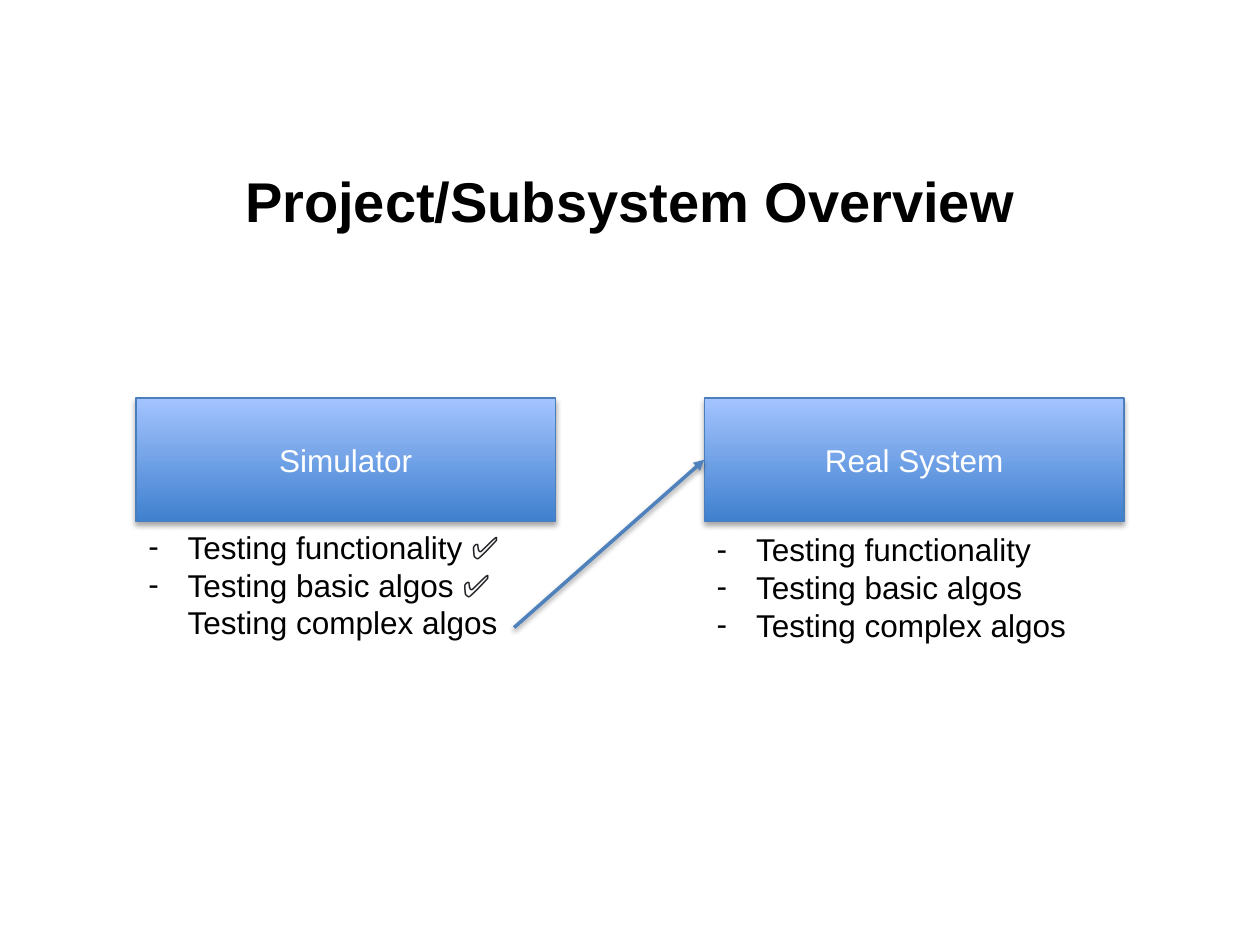
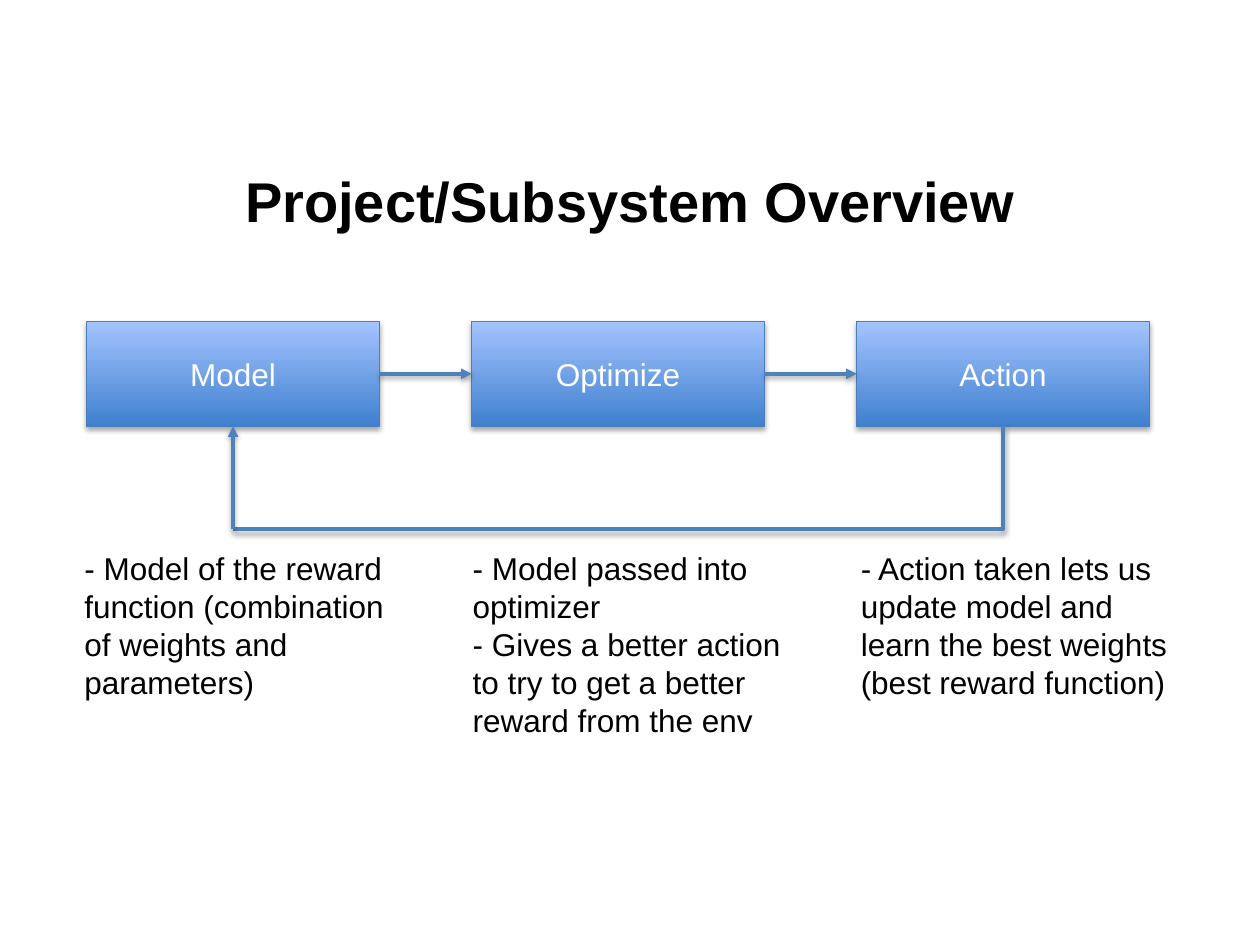
from dataclasses import dataclass

from lxml.etree import SubElement
from pptx import Presentation
from pptx.dml.color import RGBColor
from pptx.enum.shapes import MSO_CONNECTOR as Link, MSO_SHAPE as Preset
from pptx.enum.text import MSO_ANCHOR as Anchor, MSO_AUTO_SIZE as AutoSize, PP_ALIGN as Align
from pptx.oxml.ns import qn
from pptx.util import Pt


@dataclass(frozen=True)
class Theme:
    font: str = "Arial"
    mark_font: str = "Roboto"
    title_size: float = 32
    body_size: float = 18
    ink: str = "000000"
    mark: str = "202124"
    light: str = "FFFFFF"
    box_bottom: str = "3F80CE"
    box_top: str = "A4C4FF"
    box_line: str = "4B7EBC"
    arrow: str = "4F81BD"


THEME = Theme()
CHECK = "\u2705"
INDENT = 22.5


def style_runs(paragraph, size, color, bold=False):
    for span in paragraph.runs:
        span.font.name = THEME.font
        span.font.size = Pt(size)
        span.font.bold = bold
        span.font.color.rgb = RGBColor.from_string(color)


def mark_checks(paragraph):
    for span in paragraph.runs:
        if CHECK in span.text:
            span.font.name = THEME.mark_font
            span.font.bold = True
            span.font.color.rgb = RGBColor.from_string(THEME.mark)


def add_shadow(shape, opacity, distance):
    properties = shape._element.spPr
    effects = properties.find(qn("a:effectLst"))
    if effects is None:
        effects = SubElement(properties, qn("a:effectLst"))
    shadow = SubElement(effects, qn("a:outerShdw"), blurRad=str(Pt(3.1)),
                        dist=str(Pt(distance)), dir="5400000", rotWithShape="0")
    color = SubElement(shadow, qn("a:srgbClr"), val="000000")
    SubElement(color, qn("a:alpha"), val=str(opacity * 1000))


def add_page(deck, title):
    page = deck.slides.add_slide(deck.slide_layouts[5])
    heading = page.shapes.title
    heading.left, heading.top = Pt(36), Pt(82.8)
    heading.width, heading.height = Pt(648), Pt(63.4)
    frame = heading.text_frame
    frame.text = title
    frame.vertical_anchor = Anchor.MIDDLE
    paragraph = frame.paragraphs[0]
    paragraph.alignment = Align.CENTER
    style_runs(paragraph, THEME.title_size, THEME.ink, bold=True)
    return page


def add_box(page, label, left, top, width, height):
    box = page.shapes.add_shape(Preset.RECTANGLE, Pt(left), Pt(top), Pt(width), Pt(height))
    box.fill.gradient()
    box.fill.gradient_angle = 90
    for stop, color in zip(box.fill.gradient_stops, (THEME.box_bottom, THEME.box_top)):
        stop.color.rgb = RGBColor.from_string(color)
    box.line.color.rgb = RGBColor.from_string(THEME.box_line)
    box.line.width = Pt(0.75)
    box.shadow.inherit = False
    add_shadow(box, 35, 1.8)
    box.text_frame.text = label
    box.text_frame.vertical_anchor = Anchor.MIDDLE
    paragraph = box.text_frame.paragraphs[0]
    paragraph.alignment = Align.CENTER
    style_runs(paragraph, THEME.body_size, THEME.light)


def add_link(page, start, end, kind=Link.STRAIGHT, head=True):
    link = page.shapes.add_connector(kind, *(Pt(value) for value in (*start, *end)))
    link.line.color.rgb = RGBColor.from_string(THEME.arrow)
    link.line.width = Pt(2)
    if head:
        SubElement(link.line._get_or_add_ln(), qn("a:tailEnd"), type="triangle")
    add_shadow(link, 38, 1.6)
    return link


def add_corner(page, start, end):
    center_x, center_y = (start[0] + end[0]) / 2, (start[1] + end[1]) / 2
    half_width, half_height = (end[1] - start[1]) / 2, (start[0] - end[0]) / 2
    link = add_link(page, (center_x - half_width, center_y - half_height),
                    (center_x + half_width, center_y + half_height), Link.ELBOW, head=False)
    properties = link._element.spPr
    properties.find(qn("a:xfrm")).set("rot", "5400000")
    properties.find(qn("a:prstGeom")).set("prst", "bentConnector2")


def add_text(page, lines, left, top, width, height, bullets=False):
    box = page.shapes.add_textbox(Pt(left), Pt(top), Pt(width), Pt(height))
    frame = box.text_frame
    frame.word_wrap = True
    frame.auto_size = AutoSize.SHAPE_TO_FIT_TEXT
    for index, pieces in enumerate(lines):
        paragraph = frame.add_paragraph() if index else frame.paragraphs[0]
        for piece in pieces:
            paragraph.add_run().text = piece
        style_runs(paragraph, THEME.body_size, THEME.ink)
        mark_checks(paragraph)
        if bullets:
            settings = paragraph._p.get_or_add_pPr()
            settings.set("marL", str(Pt(INDENT)))
            settings.set("indent", str(-Pt(INDENT)))
            SubElement(settings, qn("a:buFont"), typeface=THEME.font)
            SubElement(settings, qn("a:buChar"), char="-")


def build_testing(deck):
    page = add_page(deck, "Project/Subsystem Overview")
    top, width, height = 227.4, 239.8, 70.6
    left = 77.7
    right = 720 - left - width
    add_box(page, "Simulator", left, top, width, height)
    add_box(page, "Real System", right, top, width, height)
    add_text(page, [["Testing functionality ", CHECK],
                    ["Testing basic algos ", CHECK + " ", "Testing complex algos"]],
             left, top + height, width, 94.3, bullets=True)
    add_link(page, (293.8, 358.6), (right, top + height / 2))
    add_text(page, [["Testing functionality"], ["Testing basic algos"],
                    ["Testing complex algos"]],
             right, top + height + 1.5, width, 72.7, bullets=True)


def build_loop(deck):
    page = add_page(deck, "Project/Subsystem Overview")
    left, top, width, height, pitch = 49.6, 183.6, 167.2, 60, 220
    bottom, loop_y = top + height, 302.4
    steps = [
        ("Model", 94.3,
         [["- Model of the reward function (combination of weights and parameters)"]]),
        ("Optimize", 116.6,
         [["- Model passed into optimizer"],
          ["- Gives a better action to try to get a better reward from the env"]]),
        ("Action", 94.3,
         [["- Action taken lets us update model and learn the best weights "
           "(best reward function)"]]),
    ]
    for index, (label, text_height, lines) in enumerate(steps):
        box_left = left + index * pitch
        add_box(page, label, box_left, top, width, height)
        add_text(page, lines, 41.2 + index * 221.8, 310.4, 199.4, text_height)
        if index:
            middle = top + height / 2
            add_link(page, (box_left - pitch + width, middle), (box_left, middle))
    first = left + width / 2
    last = first + 2 * pitch
    add_corner(page, (last, bottom), (first, loop_y))
    add_link(page, (first, loop_y), (first, bottom))


def main():
    deck = Presentation()
    deck.slide_width, deck.slide_height = Pt(720), Pt(540)
    build_testing(deck)
    build_loop(deck)
    deck.save("out.pptx")


main()
